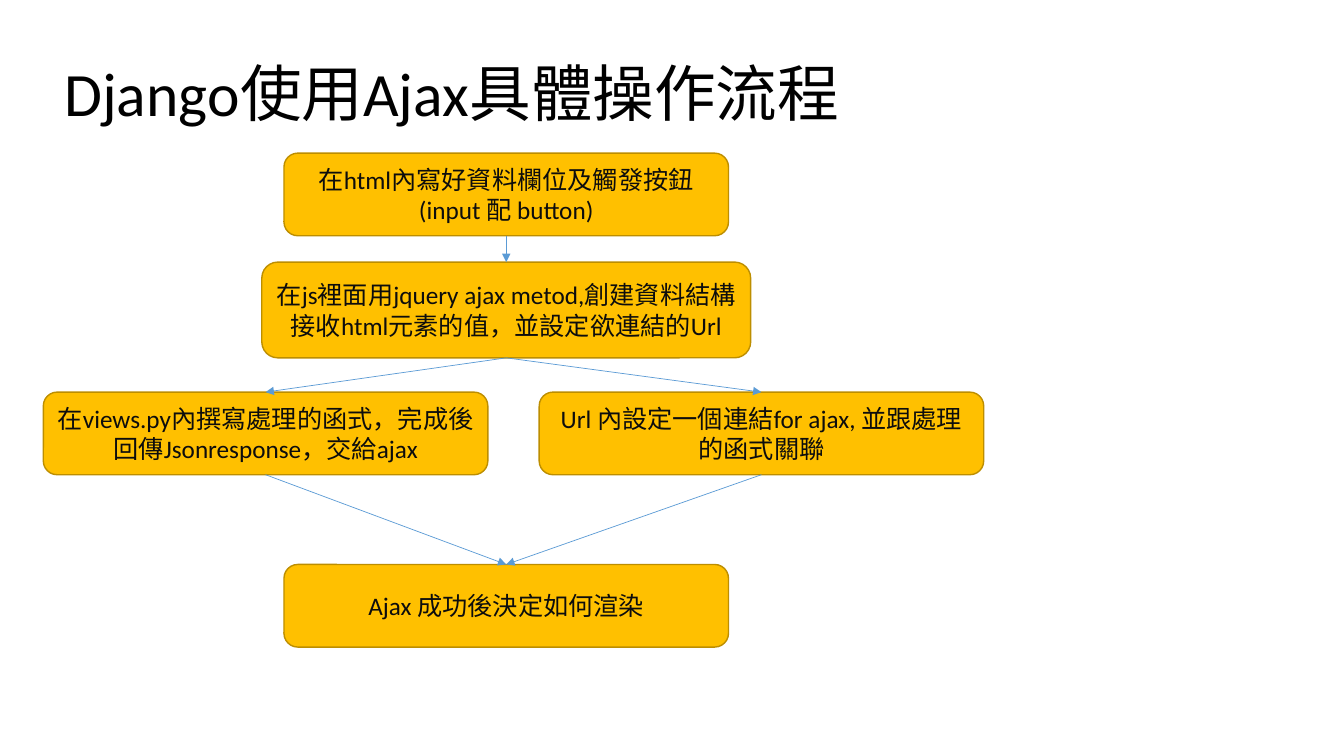
from pptx import Presentation
from pptx import util as u
from pptx.dml import color
from pptx.enum import shapes, text
from pptx.oxml import ns, xmlchemy as xml

HUES = {"ink": "000000", "soft": "0D0D0D", "gold": "FFC000",
        "edge": "BD8E00", "blue": "5B9BD5"}
FACE = "Calibri"
TOP, BASE = 0, 2  # connection sites of a rounded rectangle


def hue(name):
    """Return the named colour."""
    return color.RGBColor.from_string(HUES[name])


def apply(obj, form):
    """Set each attribute of a format dict."""
    for key, val in form.items():
        setattr(obj, key, val)


class Deck:
    """Holds the style and the current slide."""

    def __init__(self, wide, high):
        """Start a deck with one blank slide."""
        self.file = Presentation()
        apply(self.file, {"slide_width": u.Pt(wide), "slide_height": u.Pt(high)})
        self.slide = self.file.slides.add_slide(self.file.slide_layouts[6])

    def label(self, shape, words, size, ink, **form):
        """Put one styled paragraph in a shape."""
        frame = shape.text_frame
        apply(frame, {"word_wrap": True,
                      "vertical_anchor": text.MSO_ANCHOR.MIDDLE})
        para = frame.paragraphs[0]
        apply(para, form)
        run = para.add_run()
        run.text = words
        apply(run.font, {"name": FACE, "size": u.Pt(size)})
        run.font.color.rgb = hue(ink)

    def title(self, words, *area):
        """Add the heading."""
        box = self.slide.shapes.add_textbox(*map(u.Pt, area))
        self.label(box, words, 44, "ink", line_spacing=0.9)

    def step(self, words, mid, top, wide=317.5, high=59):
        """Add a rounded step centred on mid."""
        box = self.slide.shapes.add_shape(
            shapes.MSO_SHAPE.ROUNDED_RECTANGLE,
            *map(u.Pt, (mid - wide / 2, top, wide, high)))
        box.shadow.inherit = False
        box.fill.solid()
        box.fill.fore_color.rgb = hue("gold")
        box.line.color.rgb = hue("edge")
        box.line.width = u.Pt(1)
        self.label(box, words, 18, "soft", alignment=text.PP_ALIGN.CENTER)
        return box

    def arrow(self, start, end):
        """Join the base of one step to the top of another."""
        link = self.slide.shapes.add_connector(
            shapes.MSO_CONNECTOR.STRAIGHT, 0, 0, 0, 0)
        link.begin_connect(start, BASE)
        link.end_connect(end, TOP)
        link.line.color.rgb = hue("blue")
        link.line.width = u.Pt(0.5)
        tip = xml.OxmlElement("a:tailEnd")
        tip.set("type", "triangle")
        props = link._element.spPr
        props.find(ns.qn("a:ln")).append(tip)
        props.append(xml.OxmlElement("a:effectLst"))


def main():
    """Build and save the flow slide."""
    deck = Deck(960, 540)
    deck.title("Django使用Ajax具體操作流程", 38.9, 16.6, 828, 104.4)
    left, mid, right = 189.7, 361.6, 543.9
    form = deck.step("在html內寫好資料欄位及觸發按鈕(input 配 button)", mid, 109.4)
    send = deck.step("在js裡面用jquery ajax metod,創建資料結構接收html元素的值，"
                     "並設定欲連結的Url", mid, 187.2, 349.2, 68.4)
    route = deck.step("Url 內設定一個連結for ajax, 並跟處理的函式關聯", right, 280.1)
    view = deck.step("在views.py內撰寫處理的函式，完成後回傳Jsonresponse，交給ajax",
                     left, 280.1)
    show = deck.step("Ajax 成功後決定如何渲染", mid, 403.2)
    for pair in ((form, send), (send, view), (send, route),
                 (view, show), (route, show)):
        deck.arrow(*pair)
    deck.file.save("out.pptx")


main()
